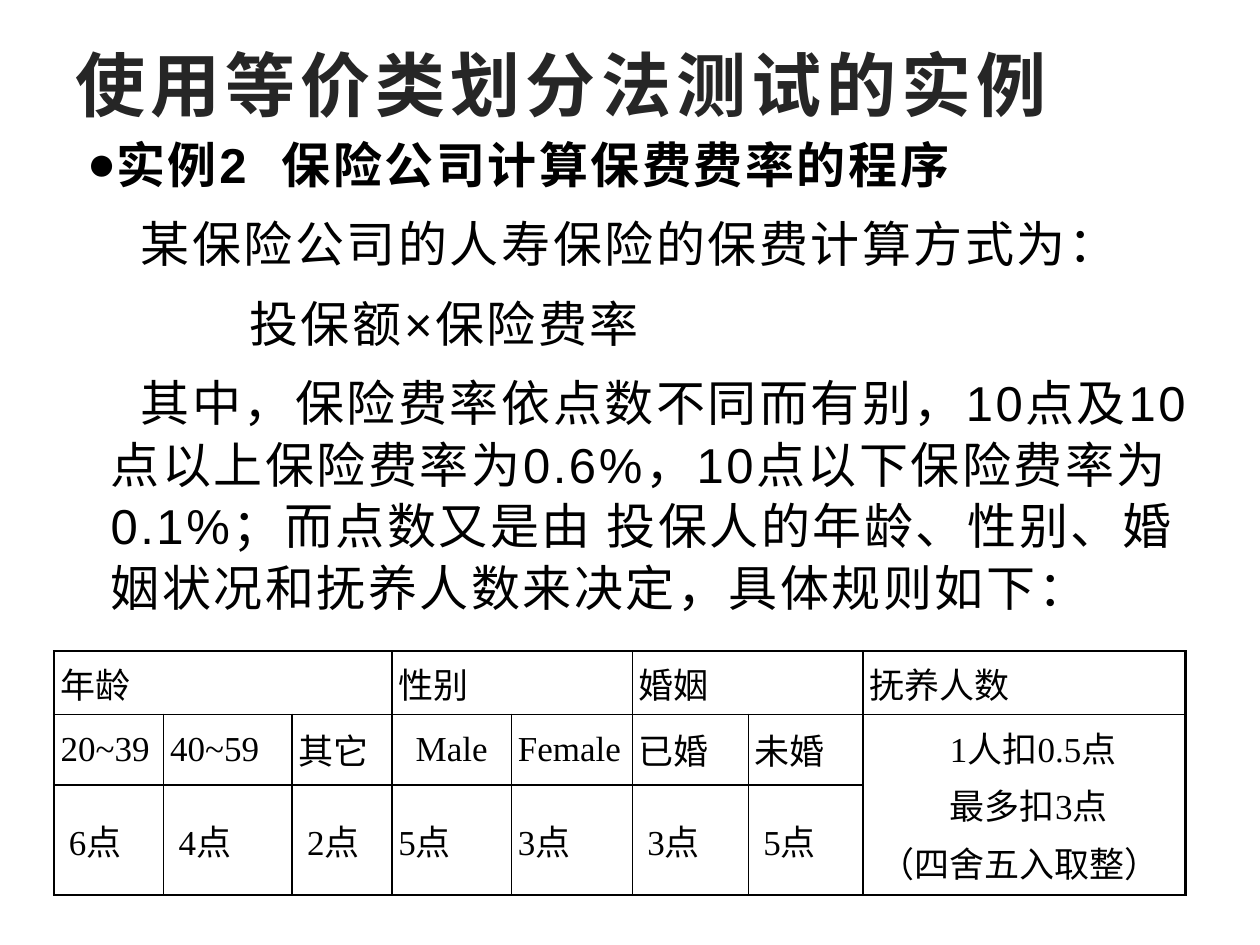
from itertools import groupby

from lxml import etree
from pptx import Presentation
from pptx import util as u
from pptx.dml.color import RGBColor
from pptx.enum import text as t
from pptx.oxml.ns import qn

BLACK = RGBColor(0x00, 0x00, 0x00)
CHARCOAL = RGBColor(0x26, 0x26, 0x26)
CJK_FONT = "Noto Sans CJK SC"


def add_run(paragraph, wording, latin, size, color=BLACK, bold=False, spacing=0):
    """Add a run with separate Latin and East Asian fonts; spacing is in points."""
    run = paragraph.add_run()
    run.text = wording
    for name, value in {"name": latin, "size": u.Pt(size), "bold": bold}.items():
        setattr(run.font, name, value)
    run.font.color.rgb = color
    properties = run.font._element
    etree.SubElement(properties, qn("a:ea"), typeface=CJK_FONT)
    if spacing:
        properties.set("spc", str(int(spacing * 100)))


def add_border(cell, side, points):
    line = etree.SubElement(cell._tc.get_or_add_tcPr(), qn(f"a:ln{side}"),
                            w=str(u.Pt(points)))
    fill = etree.SubElement(line, qn("a:solidFill"))
    etree.SubElement(fill, qn("a:srgbClr"), val=str(BLACK))


prs = Presentation()
prs.slide_width, prs.slide_height = u.Cm(25.4), u.Cm(19.05)
slide = prs.slides.add_slide(prs.slide_layouts[6])

# Title
title = slide.shapes.add_textbox(u.Cm(1.27), u.Cm(0.71), u.Cm(22.86), u.Cm(1.96)).text_frame
title.word_wrap = True
title.vertical_anchor = t.MSO_ANCHOR.MIDDLE
add_run(title.paragraphs[0], "使用等价类划分法测试的实例", "Arial", 40, CHARCOAL, True, 3)

# Explanation: wording and first-line indent in cm
HANGING = 0.48
explanation = [
    ("实例2  保险公司计算保费费率的程序", -HANGING),
    ("某保险公司的人寿保险的保费计算方式为：", 0.61),
    ("投保额×保险费率", 2.8),
    ("其中，保险费率依点数不同而有别，10点及10点以上保险费率为0.6%，"
     "10点以下保险费率为0.1%；而点数又是由 投保人的年龄、性别、婚姻状况和"
     "抚养人数来决定，具体规则如下：", 0.61),
]
body = slide.shapes.add_textbox(u.Cm(1.5), u.Cm(2.53), u.Cm(22.86), u.Cm(13.21)).text_frame
body.word_wrap = True
for index, (wording, first_indent) in enumerate(explanation):
    paragraph = body.add_paragraph() if index else body.paragraphs[0]
    is_heading = index == 0
    paragraph.line_spacing = 1.05
    paragraph.space_after = u.Pt(10)
    layout = paragraph._p.get_or_add_pPr()
    layout.set("marL", str(u.Cm(HANGING)))
    layout.set("indent", str(u.Cm(first_indent)))
    if is_heading:
        etree.SubElement(layout, qn("a:buFont"), typeface="Arial")
        etree.SubElement(layout, qn("a:buChar"), char="●")
    add_run(paragraph, wording, "Arial", 28, bold=is_heading, spacing=1.5)

# Points table
column_widths = [2.21, 2.59, 2.01, 2.41, 2.44, 2.34, 2.31, 6.5]
row_heights = [1.27, 1.42, 2.22]
points_rows = [
    ["年龄", "", "", "性别", "", "婚姻", "", "抚养人数"],
    ["20~39", "40~59", "其它", "Male", "Female", "已婚", "未婚",
     "1人扣0.5点\n最多扣3点\n（四舍五入取整）"],
    ["6点", "4点", "2点", "5点", "3点", "3点", "5点", ""],
]
merges = [((0, 0), (0, 2)), ((0, 3), (0, 4)), ((0, 5), (0, 6)), ((1, 7), (2, 7))]
left_margins = {(1, 3): 0.48, **{(2, column): 0.3 for column in (0, 1, 2, 5, 6)}}
DEDUCTION = (1, 7)
deduction_indents = [0.56, 0.38, 0]
DEDUCTION_RIGHT_INDENT = 0.2

frame = slide.shapes.add_table(len(row_heights), len(column_widths), u.Cm(1.09), u.Cm(13.13),
                               u.Cm(sum(column_widths)), u.Cm(sum(row_heights)))
points = frame.table
points.first_row = points.horz_banding = False
for column, width in zip(points.columns, column_widths):
    column.width = u.Cm(width)
for row, height in zip(points.rows, row_heights):
    row.height = u.Cm(height)
for first, last in merges:
    points.cell(*first).merge(points.cell(*last))

for r, row_wording in enumerate(points_rows):
    for c, wording in enumerate(row_wording):
        cell = points.cell(r, c)
        is_deduction = (r, c) == DEDUCTION
        side_margin = 0.03 if is_deduction else 0.13
        cell_format = {
            "vertical_anchor": t.MSO_ANCHOR.MIDDLE,
            "margin_left": u.Cm(left_margins.get((r, c), side_margin)),
            "margin_right": u.Cm(side_margin),
            "margin_top": u.Cm(0.13),
            "margin_bottom": u.Cm(0.13),
        }
        for name, value in cell_format.items():
            setattr(cell, name, value)

        right = c + (cell.span_width if cell.is_merge_origin else 1)
        bottom = r + (cell.span_height if cell.is_merge_origin else 1)
        outer_sides = {"L": c == 0, "R": right == len(column_widths),
                       "T": r == 0, "B": bottom == len(row_heights)}
        for side, is_outer in outer_sides.items():
            add_border(cell, side, 1.5 if is_outer else 1)
        cell.fill.background()

        if not wording:
            continue
        for index, line in enumerate(wording.split("\n")):
            paragraph = cell.text_frame.add_paragraph() if index else cell.text_frame.paragraphs[0]
            if index:
                paragraph.space_before = u.Pt(4)
            if is_deduction:
                paragraph.alignment = t.PP_ALIGN.CENTER
                layout = paragraph._p.get_or_add_pPr()
                layout.set("marL", str(u.Cm(deduction_indents[index])))
                layout.set("marR", str(u.Cm(DEDUCTION_RIGHT_INDENT)))
            for is_latin, letters in groupby(line, str.isascii):
                add_run(paragraph, "".join(letters),
                        "Times New Roman" if is_latin else CJK_FONT, 20)

prs.save("out.pptx")
